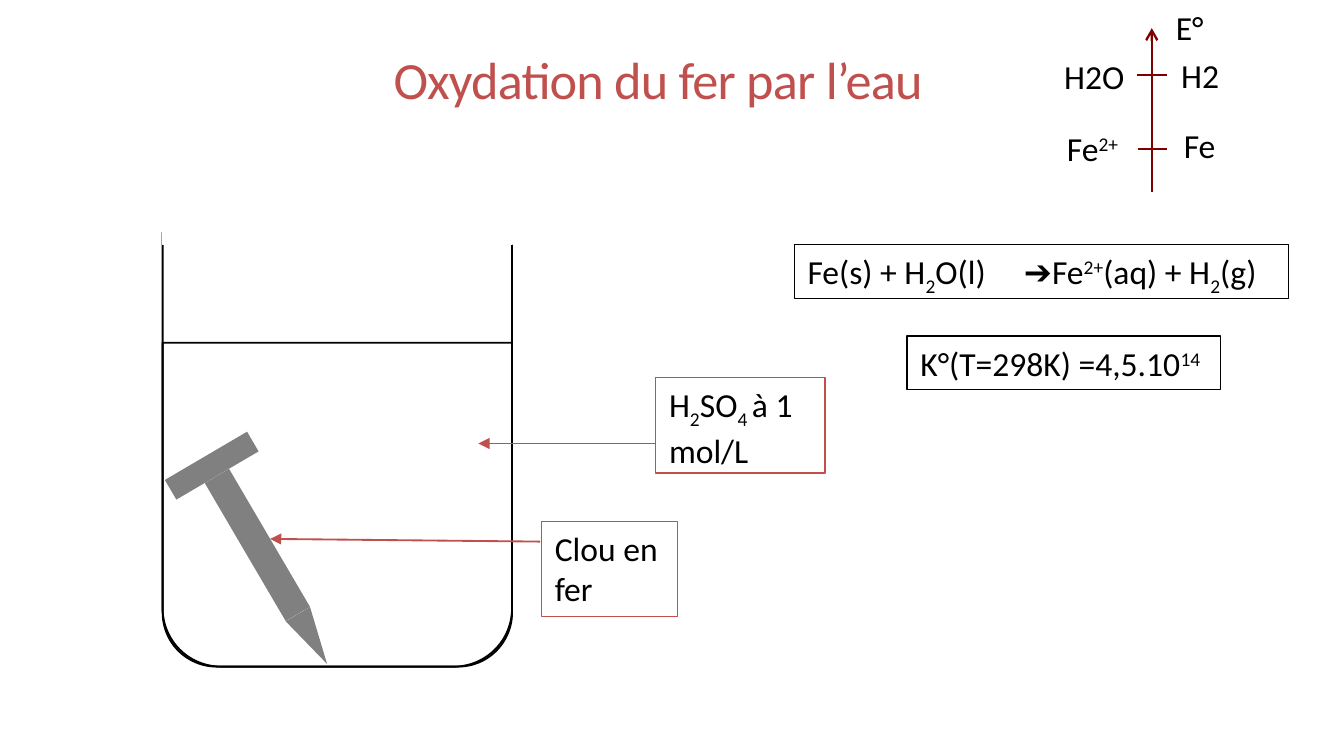
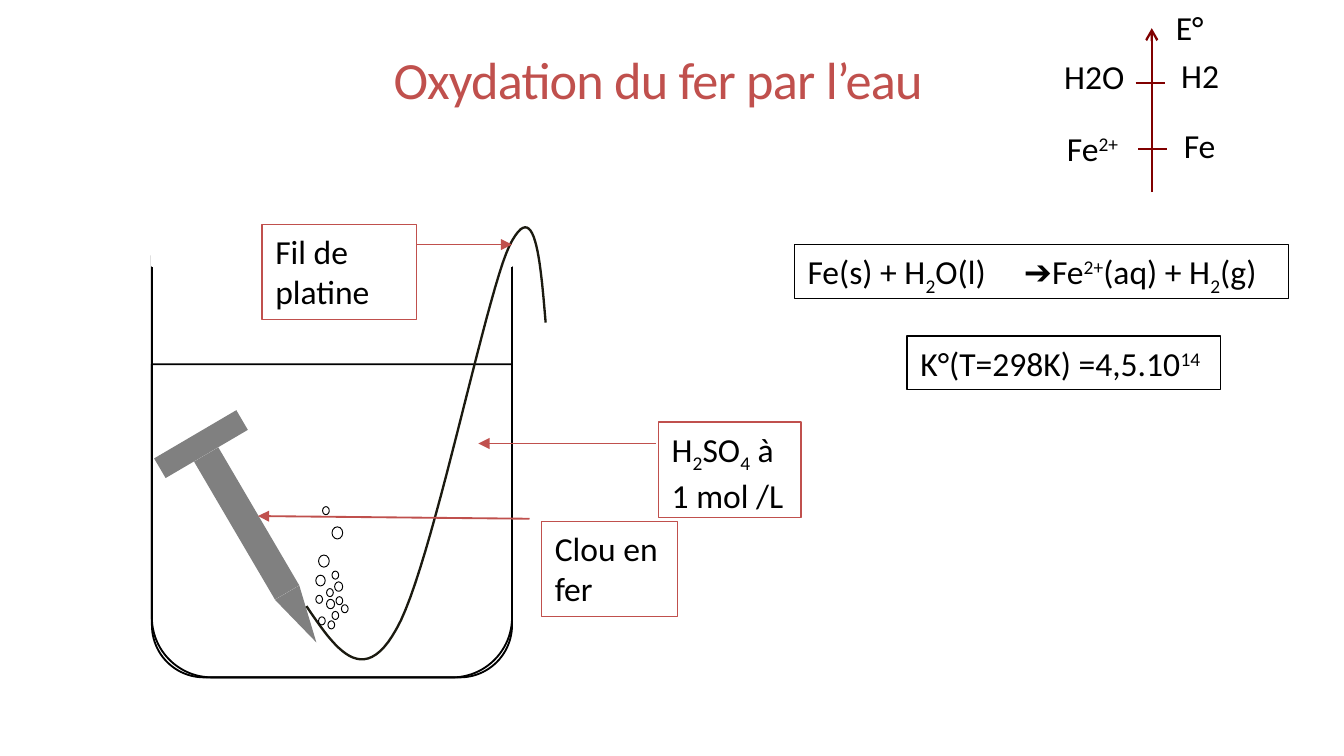
"""Build two slides on the oxidation of an iron nail by water."""
from typing import Any, NamedTuple

import pptx
import pptx.dml.color
import pptx.enum.shapes
import pptx.enum.text
import pptx.oxml
import pptx.oxml.ns
import pptx.util
from pptx.util import Inches

COLORS = {
    "accent": "C0504D", "ink": "000000", "paper": "FFFFFF",
    "iron": "808080", "axis": "800000", "wire": "1B1A10",
}
SHAPES = pptx.enum.shapes.MSO_SHAPE
BODY_FORMAT = {"name": "Calibri", "size": pptx.util.Pt(18)}
TITLE_FORMAT = {"name": "Calibri", "size": pptx.util.Pt(28)}
FRAME_FORMAT = {
    "auto_size": pptx.enum.text.MSO_AUTO_SIZE.SHAPE_TO_FIT_TEXT,
    "vertical_anchor": pptx.enum.text.MSO_ANCHOR.TOP,
}
TITLE_FRAME = {"word_wrap": True, "vertical_anchor": pptx.enum.text.MSO_ANCHOR.BOTTOM}
TITLE_PARAGRAPH = {"alignment": pptx.enum.text.PP_ALIGN.CENTER, "line_spacing": 0.85}
SUB, SUP = -25, 30


class Area(NamedTuple):
    left: float
    top: float
    width: float
    height: float


class Span(NamedTuple):
    text: str
    baseline: int = 0
    font: str = "Calibri"


class Label(NamedTuple):
    area: Area
    spans: tuple[Span, ...]
    border: str | None = None
    tab: float | None = None


class Line(NamedTuple):
    start: tuple[float, float]
    end: tuple[float, float]
    color: str
    width: float
    arrow: str | None = None


class Callout(NamedTuple):
    label: Label
    pointer: Line


class Beaker(NamedTuple):
    glass: Area
    water_top: float
    rim_top: float


class Part(NamedTuple):
    shape: Any
    area: Area
    rotation: float


class Bubble(NamedTuple):
    left: float
    top: float
    width: float


NAIL = (
    Part(SHAPES.RECTANGLE, Area(1.49, 3.11, 0.17, 0.71), 59.6),
    Part(SHAPES.RECTANGLE, Area(1.32, 3.95, 1.19, 0.21), 59.6),
    Part(SHAPES.ISOSCELES_TRIANGLE, Area(2.22, 4.54, 0.21, 0.43), 149.6),
)
WIRE_START = (2.28, 4.51)
WIRE_CURVES = (
    ((2.49, 4.82), (2.7, 5.13), (2.95, 4.68)),
    ((3.21, 4.23), (3.61, 2.21), (3.79, 1.83)),
    ((3.98, 1.45), (4.02, 1.92), (4.06, 2.4)),
)
BUBBLES = tuple(Bubble(*values) for values in (
    (2.35, 4.43, 0.05), (2.47, 4.55, 0.05), (2.37, 4.59, 0.05), (2.43, 4.46, 0.06),
    (2.49, 4.33, 0.06), (2.35, 4.28, 0.07), (2.47, 4.25, 0.05), (2.43, 4.38, 0.05),
    (2.37, 4.13, 0.08), (2.54, 4.5, 0.05), (2.44, 4.62, 0.05), (2.5, 4.44, 0.05),
    (2.47, 3.92, 0.08), (2.4, 3.77, 0.05),
))
EQUATIONS = (
    Label(Area(5.91, 1.82, 3.68, 0.4), (
        Span("Fe(s) + H"), Span("2", SUB), Span("O(l)\t"), Span("➔", font="Arial"),
        Span("Fe"), Span("2+", SUP), Span("(aq) + H"), Span("2", SUB), Span("(g)"),
    ), "ink", 1.61),
    Label(Area(6.75, 2.5, 2.33, 0.4), (Span("K°(T=298K) =4,5.10"), Span("14", SUP)), "ink"),
)
POTENTIALS = (
    Label(Area(8.65, 0, 0.41, 0.4), (Span("E°"),)),
    Label(Area(7.82, 0.37, 0.65, 0.4), (Span("H2O"),)),
    Label(Area(8.69, 0.36, 0.49, 0.4), (Span("H2"),)),
    Label(Area(7.84, 0.9, 0.61, 0.4), (Span("Fe"), Span("2+", SUP))),
    Label(Area(8.71, 0.88, 0.44, 0.4), (Span("Fe"),)),
)
AXIS = Line((8.57, 1.43), (8.57, 0.21), "axis", 1.25, "arrow")
IRON_TICK = Line((8.47, 1.11), (8.68, 1.11), "axis", 1.25)


def rgb(name: str) -> pptx.dml.color.RGBColor:
    """Return a named colour."""
    return pptx.dml.color.RGBColor.from_string(COLORS[name])


def inches(values: tuple[float, ...]) -> list[int]:
    """Convert numbers to lengths."""
    return [Inches(value) for value in values]


def apply(target: Any, values: dict[str, Any]) -> None:
    """Set attributes from format values."""
    for name, value in values.items():
        setattr(target, name, value)


def paint(box: Any, fill: str | None, line: str | None, width: float = 1) -> None:
    """Set the fill and outline of a box."""
    for style, color in ((box.fill, fill), (box.line.fill, line)):
        if color:
            style.solid()
            style.fore_color.rgb = rgb(color)
        else:
            style.background()
    if line:
        box.line.width = pptx.util.Pt(width)


def add_box(shapes: Any, shape: Any, area: Area, fill: str | None = None,
            line: str | None = None, width: float = 1, rotation: float = 0) -> None:
    """Draw one preset shape."""
    box = shapes.add_shape(shape, *inches(area))
    box.shadow.inherit = False
    box.rotation = rotation
    paint(box, fill, line, width)


def add_line(shapes: Any, line: Line) -> None:
    """Draw a straight line, with an arrowhead if it has one."""
    connector = shapes.add_connector(
        pptx.enum.shapes.MSO_CONNECTOR.STRAIGHT, *inches(line.start + line.end))
    connector.line.color.rgb = rgb(line.color)
    connector.line.width = pptx.util.Pt(line.width)
    if line.arrow:
        connector.line._get_or_add_ln().append(pptx.oxml.parse_xml(
            f'<a:tailEnd {pptx.oxml.ns.nsdecls("a")} type="{line.arrow}"/>'))
    connector._element.spPr.append(
        pptx.oxml.parse_xml(f'<a:effectLst {pptx.oxml.ns.nsdecls("a")}/>'))


def add_label(shapes: Any, label: Label) -> None:
    """Write a label, with a border if it has one."""
    box = shapes.add_textbox(*inches(label.area))
    paint(box, None, label.border, 0.75)
    apply(box.text_frame, FRAME_FORMAT | {"word_wrap": label.border is not None})
    para = box.text_frame.paragraphs[0]
    if label.tab:
        para._p.get_or_add_pPr().append(pptx.oxml.parse_xml(
            f'<a:tabLst {pptx.oxml.ns.nsdecls("a")}>'
            f'<a:tab pos="{Inches(label.tab)}" algn="l"/></a:tabLst>'))
    for span in label.spans:
        run = para.add_run()
        run.text = span.text
        apply(run.font, BODY_FORMAT | {"name": span.font})
        run.font.color.rgb = rgb("ink")
        if span.baseline:
            run._r.get_or_add_rPr().set("baseline", str(span.baseline * 1000))


def add_title(shapes: Any, text: str) -> None:
    """Write the slide title."""
    box = shapes.add_textbox(*inches(Area(0.77, -0.01, 8.25, 0.88)))
    apply(box.text_frame, TITLE_FRAME)
    para = box.text_frame.paragraphs[0]
    apply(para, TITLE_PARAGRAPH)
    run = para.add_run()
    run.text = text
    apply(run.font, TITLE_FORMAT)
    run.font.color.rgb = rgb("accent")
    run._r.get_or_add_rPr().set("spc", "-40")


def add_beaker(page: Any, beaker: Beaker) -> None:
    """Draw the glass, the water and the open rim."""
    shapes = page.shapes.add_group_shape().shapes
    glass = beaker.glass
    depth = glass.top + glass.height - beaker.water_top
    for area in (glass, glass._replace(top=beaker.water_top, height=depth)):
        add_box(shapes, SHAPES.ROUND_2_SAME_RECTANGLE, area, line="ink", rotation=180)
    rim = glass._replace(top=beaker.rim_top, height=0.18)
    add_box(shapes, SHAPES.RECTANGLE, rim, "paper", "paper")


def add_nail(page: Any, shift_x: float = 0, shift_y: float = 0) -> None:
    """Draw the nail, moved by the given shift."""
    shapes = page.shapes.add_group_shape().shapes
    for part in NAIL:
        area = part.area._replace(left=part.area.left + shift_x, top=part.area.top + shift_y)
        add_box(shapes, part.shape, area, "iron", rotation=part.rotation)


def add_wire(page: Any, steps: int = 24) -> None:
    """Draw the platinum wire along its curves."""
    points, start = [], WIRE_START
    for first, second, end in WIRE_CURVES:
        for step in range(1, steps + 1):
            t = step / steps
            weights = ((1 - t) ** 3, 3 * t * (1 - t) ** 2, 3 * t ** 2 * (1 - t), t ** 3)
            corners = (start, first, second, end)
            points.append(tuple(
                Inches(sum(weight * corner[axis] for weight, corner in zip(weights, corners)))
                for axis in (0, 1)))
        start = end
    builder = page.shapes.build_freeform(*inches(WIRE_START))
    builder.add_line_segments(points, close=False)
    wire = builder.convert_to_shape()
    wire.shadow.inherit = False
    paint(wire, None, "wire", 1.25)


def add_bubbles(page: Any) -> None:
    """Draw the gas bubbles."""
    shapes = page.shapes.add_group_shape().shapes
    for bubble in BUBBLES:
        area = Area(*bubble, bubble.width + 0.01)
        add_box(shapes, SHAPES.OVAL, area, "paper", "ink", 0.5)


def add_callouts(page: Any, callouts: tuple[Callout, ...]) -> None:
    """Draw each callout with its pointer."""
    for callout in callouts:
        shapes = page.shapes.add_group_shape().shapes
        add_line(shapes, callout.pointer)
        add_label(shapes, callout.label)


def add_chemistry(page: Any, water_tick: Line) -> None:
    """Draw the equations and the potential scale."""
    for label in EQUATIONS + POTENTIALS:
        add_label(page.shapes, label)
    for line in (AXIS, water_tick, IRON_TICK):
        add_line(page.shapes, line)


def red_callout(area: Area, spans: tuple[Span, ...], start: tuple[float, float],
                end: tuple[float, float]) -> Callout:
    """Describe a red callout."""
    return Callout(Label(area, spans, "accent"), Line(start, end, "accent", 1, "triangle"))


def add_page(deck: Any) -> Any:
    """Add a blank page with the shared title."""
    page = deck.slides.add_slide(deck.slide_layouts[6])
    add_title(page.shapes, "Oxydation du fer par l’eau")
    return page


def main() -> None:
    """Build and save the deck."""
    deck = pptx.Presentation()
    deck.slide_width, deck.slide_height = Inches(10), Inches(10 * 9 / 16)
    acid = (Span("H"), Span("2", SUB), Span("SO"))
    nail_area, nail_text = Area(4.03, 3.88, 1.01, 0.71), (Span("Clou en fer"),)
    acid_pointer = ((4.88, 3.3), (3.56, 3.3))

    page = add_page(deck)
    add_beaker(page, Beaker(Area(1.21, 1.73, 2.6, 3.23), 2.55, 1.64))
    add_nail(page)
    add_callouts(page, (
        red_callout(nail_area, nail_text, (4.02, 4.03), (2.01, 4.01)),
        red_callout(Area(4.88, 2.81, 1.26, 0.71),
                    acid + (Span("4 ", SUB), Span("à 1 mol/L")), *acid_pointer),
    ))
    add_chemistry(page, Line((8.46, 0.56), (8.68, 0.56), "axis", 1.25))

    page = add_page(deck)
    add_beaker(page, Beaker(Area(1.13, 1.9, 2.68, 3.14), 2.71, 1.8))
    add_nail(page, -0.08, -0.16)
    add_wire(page)
    add_callouts(page, (
        red_callout(Area(1.95, 1.67, 1.15, 0.71), (Span("Fil de platine"),),
                    (3.1, 1.82), (3.81, 1.82)),
        red_callout(nail_area, nail_text, (3.94, 3.86), (1.92, 3.84)),
        red_callout(Area(4.9, 3.14, 1.06, 0.71),
                    acid + (Span("4", SUB), Span(" à 1 mol /L")), *acid_pointer),
    ))
    add_bubbles(page)
    add_chemistry(page, Line((8.45, 0.62), (8.67, 0.62), "axis", 1.25))
    deck.save("out.pptx")


if __name__ == "__main__":
    main()
